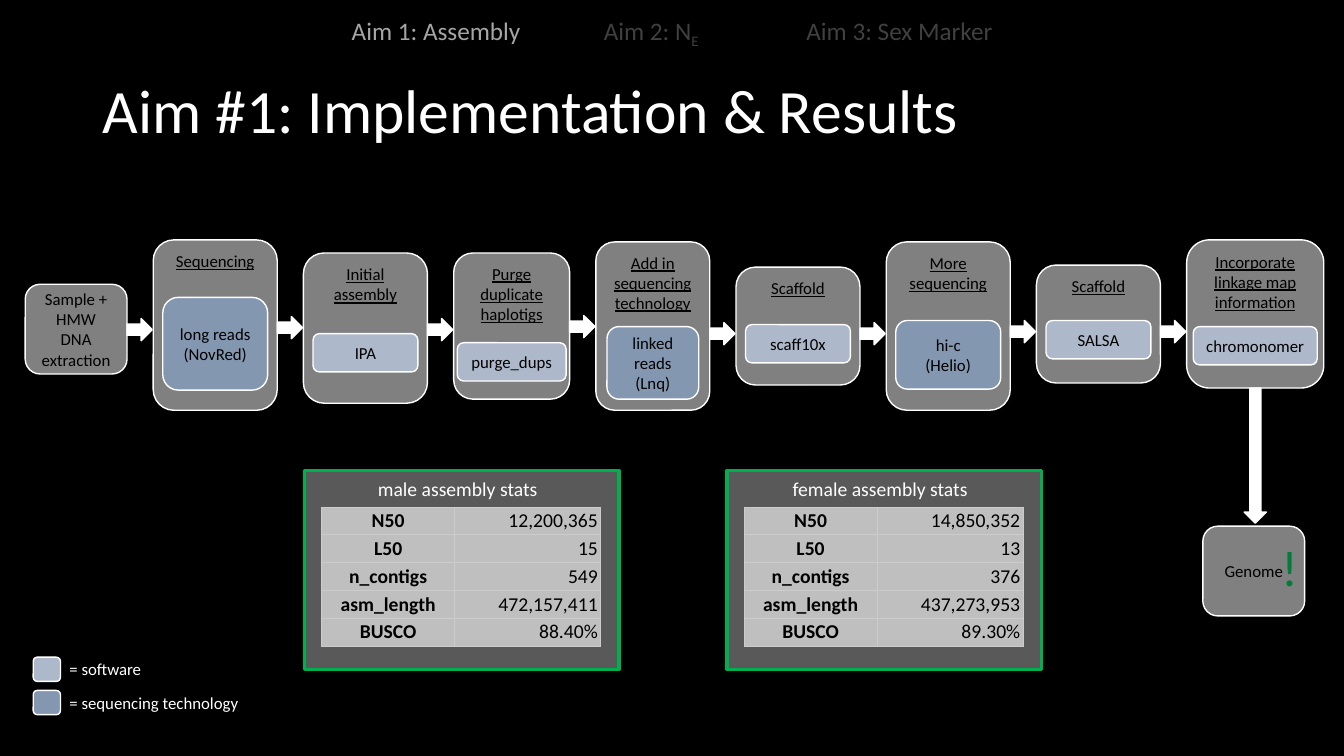
from lxml import etree
from pptx import Presentation
from pptx import util as u
from pptx.dml.color import RGBColor
from pptx.enum import shapes, text
from pptx.oxml.ns import qn

COLORS = {
    "background": "000000", "white": "FFFFFF", "black": "000000",
    "stage": "808080", "software": "ADB9CA", "technology": "8497B0",
    "panel": "595959", "panel_edge": "00B050", "cell": "BFBFBF",
    "cell_edge": "CCCCCC", "active": "A6A6A6", "inactive": "404040",
    "exclamation": "007D39",
}

TITLE = "Aim #1: Implementation & Results"
AIMS = [
    (3.39, 1.9, "Aim 1: Assembly", "", "active"),
    (5.89, 1.2, "Aim 2: N", "E", "inactive"),
    (7.9, 2.1, "Aim 3: Sex Marker", "", "inactive"),
]

# heading, (top, width, height), tool, tool kind, (top, width, height), arrow top
STAGES = [
    ("Sample +\nHMW DNA extraction", (2.82, 1.01, 0.89), None, None, None, 3.16),
    ("Sequencing", (2.38, 1.23, 1.69),
     "long reads\n(NovRed)", "technology", (2.95, 1.04, 0.92), 3.14),
    ("Initial assembly", (2.51, 1.23, 1.49), "IPA", "software", (3.31, 1.04, 0.38), 3.16),
    ("Purge duplicate haplotigs", (2.51, 1.15, 1.45),
     "purge_dups", "software", (3.4, 1.08, 0.38), 3.13),
    ("Add in sequencing technology", (2.4, 1.13, 1.67),
     "linked reads\n(Lnq)", "technology", (3.24, 0.91, 0.72), 3.2),
    ("Scaffold", (2.65, 1.23, 1.17), "scaff10x", "software", (3.22, 1.04, 0.38), 3.2),
    ("More sequencing", (2.4, 1.23, 1.67),
     "hi-c\n(Helio)", "technology", (3.18, 1.04, 0.68), 3.18),
    ("Scaffold", (2.63, 1.23, 1.17), "SALSA", "software", (3.18, 1.04, 0.38), 3.18),
    ("Incorporate linkage map information", (2.38, 1.36, 1.47),
     "chromonomer", "software", (3.24, 1.23, 0.38), None),
]
STAGE_LEFT, STAGE_GAP = 0.25, 0.26
ARROW_LENGTH, ARROW_WIDTH = 0.25, 0.22

METRICS = ["N50", "L50", "n_contigs", "asm_length", "BUSCO"]
ASSEMBLIES = [
    (3.02, "male assembly stats", ["12,200,365", "15", "549", "472,157,411", "88.40%"]),
    (7.21, "female assembly stats", ["14,850,352", "13", "376", "437,273,953", "89.30%"]),
]
LEGEND = [("= software", "software"), ("= sequencing technology", "technology")]

CENTER, LEFT, RIGHT = text.PP_ALIGN.CENTER, text.PP_ALIGN.LEFT, text.PP_ALIGN.RIGHT
TOP, MIDDLE = text.MSO_ANCHOR.TOP, text.MSO_ANCHOR.MIDDLE
ROUNDED = shapes.MSO_SHAPE.ROUNDED_RECTANGLE

deck = Presentation()
deck.slide_width, deck.slide_height = u.Inches(13.33), u.Inches(7.5)
slide = deck.slides.add_slide(deck.slide_layouts[6])


def rgb(name):
    return RGBColor.from_string(COLORS[name])


def write(frame, words, size, color="black", align=CENTER, anchor=MIDDLE,
          underline=False, bold=False):
    frame.text = words
    frame.word_wrap = True
    frame.vertical_anchor = anchor
    for paragraph in frame.paragraphs:
        paragraph.alignment = align
        for run in paragraph.runs:
            font = run.font
            font.name, font.size, font.bold = "Calibri", u.Pt(size), bold
            font.underline = underline
            font.color.rgb = rgb(color)


def block(preset, box, fill, edge="white", weight=1):
    shape = slide.shapes.add_shape(preset, *map(u.Inches, box))
    shape.shadow.inherit = False
    shape.fill.solid()
    shape.fill.fore_color.rgb = rgb(fill)
    shape.line.color.rgb = rgb(edge)
    shape.line.width = u.Pt(weight)
    return shape


def label(box, words, size, color, align=LEFT, anchor=TOP):
    frame = slide.shapes.add_textbox(*map(u.Inches, box)).text_frame
    write(frame, words, size, color, align, anchor)
    return frame


def edge_cell(cell):
    properties = cell._tc.get_or_add_tcPr()
    for index, side in enumerate(("a:lnL", "a:lnR", "a:lnT", "a:lnB")):
        line = etree.Element(qn(side), w=str(u.Pt(0.75)))
        solid = etree.SubElement(line, qn("a:solidFill"))
        etree.SubElement(solid, qn("a:srgbClr"), val=COLORS["cell_edge"])
        properties.insert(index, line)


def stats_panel(left, caption, values):
    block(shapes.MSO_SHAPE.RECTANGLE, (left, 4.67, 3.12, 1.97), "panel", "panel_edge", 2.25)
    label((left, 4.68, 3.04, 0.34), caption, 14, "white", CENTER)
    box = map(u.Inches, (left + 0.17, 5.03, 2.77, 1.38))
    table = slide.shapes.add_table(len(METRICS), 2, *box).table
    table.first_row = table.horz_banding = False
    table.columns[0].width, table.columns[1].width = u.Inches(1.32), u.Inches(1.45)
    for row, pair in enumerate(zip(METRICS, values)):
        for column, words in enumerate(pair):
            cell = table.cell(row, column)
            write(cell.text_frame, words, 14, align=(CENTER, RIGHT)[column], bold=column == 0)
            cell.vertical_anchor = text.MSO_ANCHOR.BOTTOM
            cell.margin_left = cell.margin_right = u.Inches(0.03)
            cell.margin_top = cell.margin_bottom = u.Inches(0.02)
            cell.fill.solid()
            cell.fill.fore_color.rgb = rgb("cell")
            edge_cell(cell)


slide.background.fill.solid()
slide.background.fill.fore_color.rgb = rgb("background")

title = label((0.92, 0.4, 11.5, 1.45), TITLE, 44, "white", anchor=MIDDLE)
title.paragraphs[0].line_spacing = 0.9

for left, width, aim, subscript, color in AIMS:
    heading = label((left, 0.1, width, 0.4), aim, 18, color).paragraphs[0]
    if subscript:
        run = heading.add_run()
        run.text = subscript
        run.font.name, run.font.size = "Calibri", u.Pt(18)
        run.font.color.rgb = rgb(color)
        run._r.get_or_add_rPr().set("baseline", "-25000")

left = STAGE_LEFT
for heading, (top, width, height), tool, kind, tool_box, arrow_top in STAGES:
    stage = block(ROUNDED, (left, top, width, height), "stage")
    write(stage.text_frame, heading, 12, anchor=TOP if tool else MIDDLE, underline=bool(tool))
    if tool:
        tool_top, tool_width, tool_height = tool_box
        tool_left = left + (width - tool_width) / 2
        badge = block(ROUNDED, (tool_left, tool_top, tool_width, tool_height), kind)
        write(badge.text_frame, tool, 12)
    if arrow_top:
        block(shapes.MSO_SHAPE.RIGHT_ARROW,
              (left + width, arrow_top, ARROW_LENGTH, ARROW_WIDTH), "white")
    left += width + STAGE_GAP

block(shapes.MSO_SHAPE.DOWN_ARROW, (12.34, 3.85, ARROW_WIDTH, 1.34), "white")
genome = block(ROUNDED, (11.93, 5.22, 1.01, 0.89), "stage")
write(genome.text_frame, "Genome", 12)
label((12.61, 5.27, 0.37, 0.71), "!", 36, "exclamation")

for assembly in ASSEMBLIES:
    stats_panel(*assembly)

for row, (meaning, kind) in enumerate(LEGEND):
    top = 6.52 + row * 0.33
    block(ROUNDED, (0.33, top, 0.27, 0.24), kind)
    label((0.59, top - 0.03, 2.1, 0.3), meaning, 12, "white")

deck.save("out.pptx")
